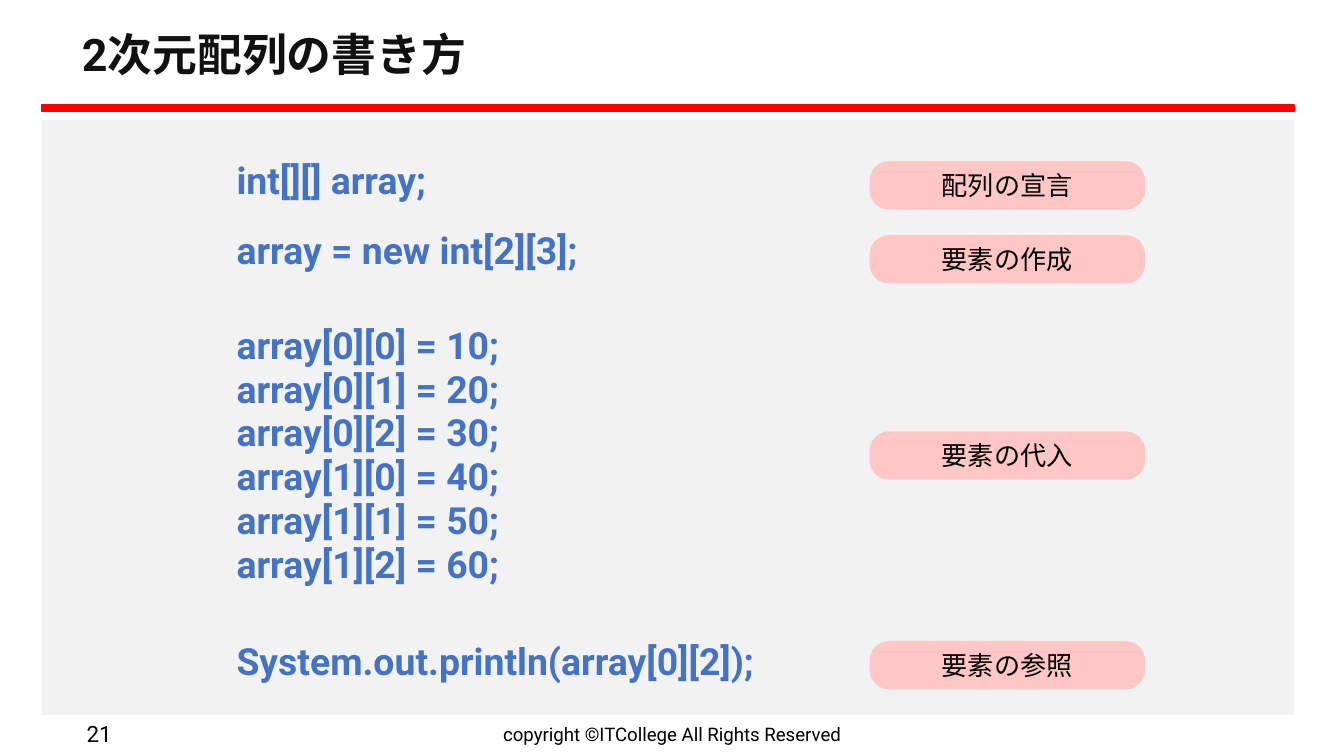
from dataclasses import dataclass

from pptx import Presentation
from pptx.dml.color import RGBColor
from pptx.enum.shapes import MSO_SHAPE as Shape
from pptx.enum.text import MSO_ANCHOR as Anchor, MSO_AUTO_SIZE as AutoSize, PP_ALIGN as Align
from pptx.util import Inches, Pt

COLORS = {
    "panel": "F2F2F2",
    "rule": "FF0000",
    "title": "111111",
    "code": "4472C4",
    "badge": "FFC6C6",
    "text": "000000",
}
FONT = "Roboto"
NO_GRID_STYLE = "{2D5ABB26-0587-4C30-8999-92F81FD0307C}"


@dataclass(frozen=True)
class Box:
    left: float
    top: float
    width: float
    height: float

    def lengths(self) -> tuple:
        return tuple(Inches(v) for v in (self.left, self.top, self.width, self.height))


@dataclass(frozen=True)
class Step:
    """One code row of the table and the badge that explains it."""
    code: str
    row_height: float
    label: str
    badge_top: float


ASSIGNMENTS = "\n".join(
    f"array[{i // 3}][{i % 3}] = {(i + 1) * 10};" for i in range(6)
)
STEPS = [
    Step("int[][] array;", 0.52, "配列の宣言", 1.2),
    Step("array = new int[2][3];", 0.52, "要素の作成", 1.75),
    Step(ASSIGNMENTS, 2.53, "要素の代入", 3.21),
    Step("System.out.println(array[0][2]);", 0.55, "要素の参照", 4.77),
]
TABLE = Box(1.66, 1.09, 7.05, 4.12)
COLUMN_WIDTHS = (5.06, 1.99)


def write(frame, text: str, color: str, size: float, bold: bool = False,
          align: Align = Align.LEFT) -> None:
    frame.word_wrap = True
    paragraph = frame.paragraphs[0]
    paragraph.text = text
    paragraph.alignment = align
    font_format = {"name": FONT, "size": Pt(size), "bold": bold}
    for run in paragraph.runs:
        for attribute, value in font_format.items():
            setattr(run.font, attribute, value)
        run.font.color.rgb = RGBColor.from_string(COLORS[color])


def add_block(slide, kind: Shape, box: Box, color: str):
    """Add a flat filled shape without outline."""
    block = slide.shapes.add_shape(kind, *box.lengths())
    block.shadow.inherit = False
    block.fill.solid()
    block.fill.fore_color.rgb = RGBColor.from_string(COLORS[color])
    block.line.fill.background()
    return block


def add_footer(slide, box: Box, text: str, size: float, align: Align) -> None:
    frame = slide.shapes.add_textbox(*box.lengths()).text_frame
    frame.vertical_anchor = Anchor.MIDDLE
    write(frame, text, "text", size, align=align)


def format_title(slide, text: str) -> None:
    title = slide.shapes.title
    title.left, title.top, title.width, title.height = Box(0.51, 0.13, 8.99, 0.59).lengths()
    frame = title.text_frame
    frame_format = {"auto_size": AutoSize.NONE, "vertical_anchor": Anchor.MIDDLE}
    frame_format |= {f"margin_{side}": Inches(0.1) for side in ("left", "top", "right", "bottom")}
    for attribute, value in frame_format.items():
        setattr(frame, attribute, value)
    write(frame, text, "title", 24, bold=True)
    frame.paragraphs[0].line_spacing = 0.9


def add_code_table(slide, steps: list[Step]) -> None:
    graphic = slide.shapes.add_table(len(steps), len(COLUMN_WIDTHS), *TABLE.lengths())
    table = graphic.table
    table.first_row = table.horz_banding = False
    table._tbl.tblPr[0].text = NO_GRID_STYLE
    for column, width in zip(table.columns, COLUMN_WIDTHS):
        column.width = Inches(width)
    for row, step in zip(table.rows, steps):
        row.height = Inches(step.row_height)
        for cell in row.cells:
            cell.fill.background()
            cell.vertical_anchor = Anchor.MIDDLE
        write(row.cells[0].text_frame, step.code, "code", 20, bold=True)


def add_badge(slide, step: Step) -> None:
    badge = add_block(slide, Shape.ROUNDED_RECTANGLE, Box(6.47, step.badge_top, 2.05, 0.36), "badge")
    badge.adjustments[0] = 0.4
    badge.text_frame.vertical_anchor = Anchor.MIDDLE
    write(badge.text_frame, step.label, "text", 14, align=Align.CENTER)


def main() -> None:
    deck = Presentation()
    deck.slide_width = Inches(10)
    deck.slide_height = deck.slide_width * 9 // 16
    slide = deck.slides.add_slide(deck.slide_layouts[5])

    add_block(slide, Shape.RECTANGLE, Box(0.31, 0.89, 9.32, 4.43), "panel")
    rule = add_block(slide, Shape.RECTANGLE, Box(0.31, 0.78, 9.32, 0.05), "rule")
    rule.line.color.rgb = RGBColor.from_string(COLORS["rule"])
    rule.line.width = Pt(1)

    format_title(slide, "2次元配列の書き方")
    add_footer(slide, Box(3.31, 5.32, 3.38, 0.28),
               "copyright ©ITCollege All Rights Reserved", 10, Align.CENTER)
    add_footer(slide, Box(0.24, 5.32, 0.69, 0.28), "21", 12, Align.RIGHT)

    add_code_table(slide, STEPS)
    for step in STEPS:
        add_badge(slide, step)

    deck.save("out.pptx")


if __name__ == "__main__":
    main()
